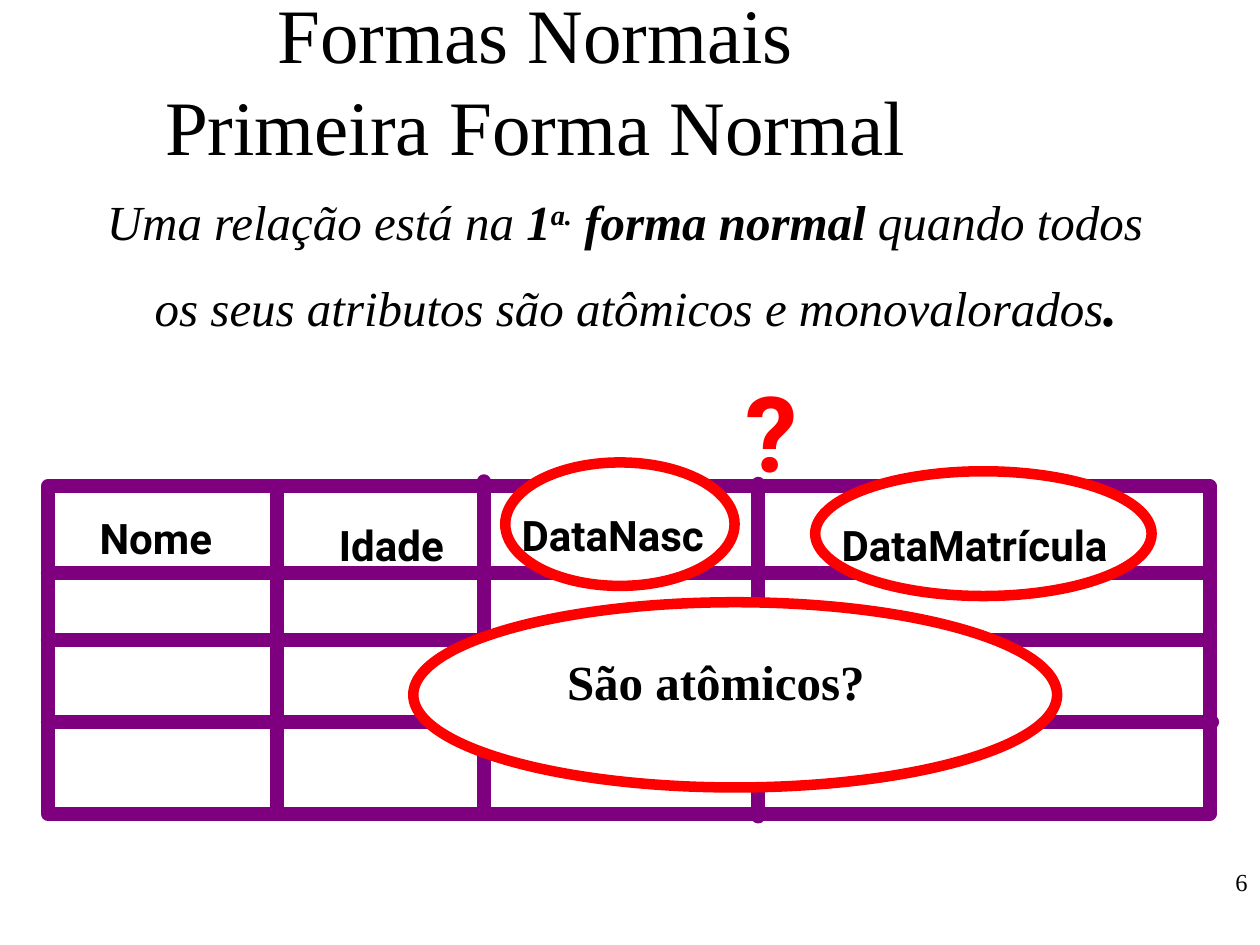
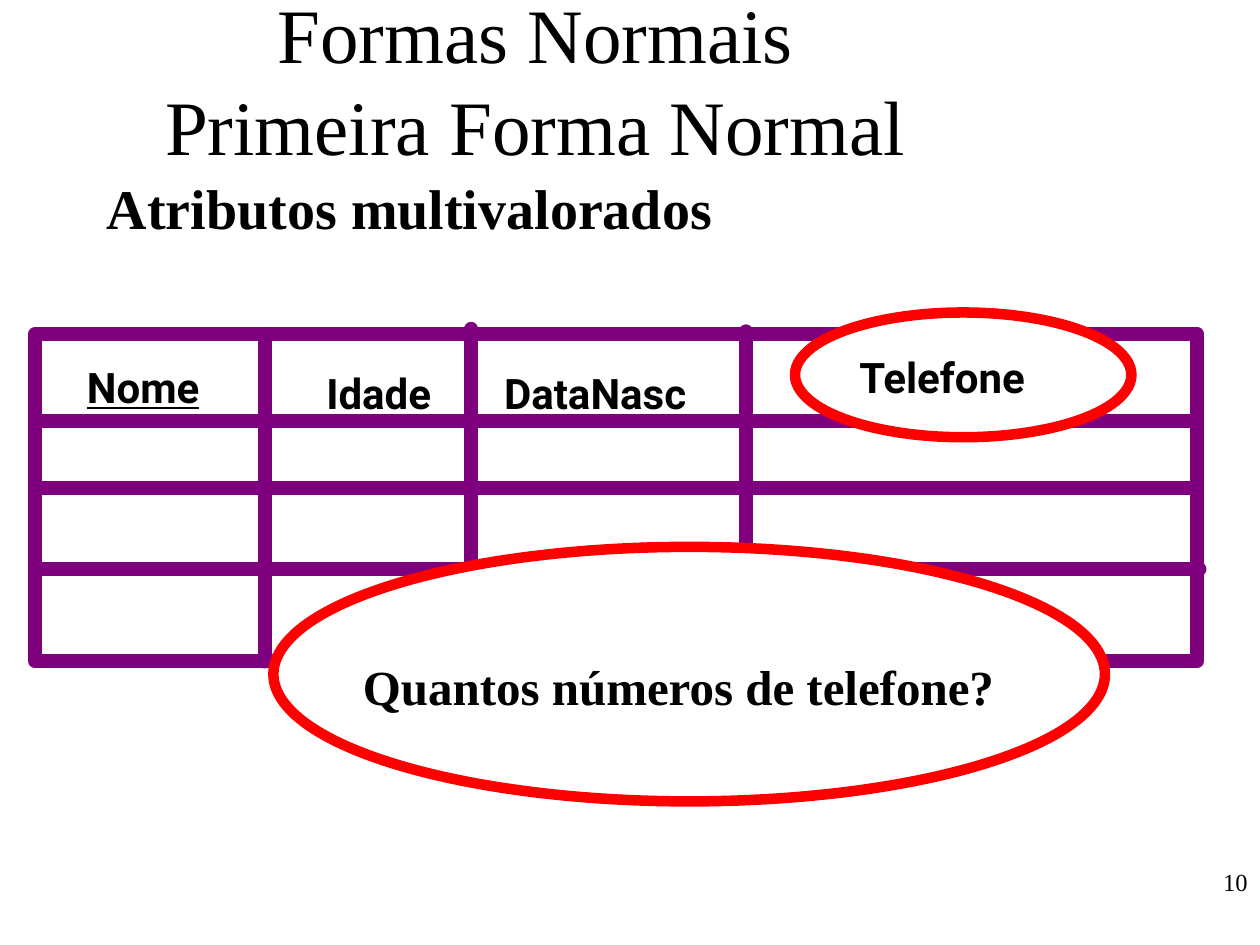
from lxml.etree import SubElement
from pptx import Presentation
from pptx.dml.color import RGBColor
from pptx.enum.shapes import MSO_CONNECTOR, MSO_SHAPE
from pptx.enum.text import MSO_ANCHOR, MSO_AUTO_SIZE, PP_ALIGN
from pptx.oxml.ns import qn
from pptx.util import Inches, Pt

COLORS = {"text": "000000", "paper": "FFFFFF", "grid": "7F007F", "mark": "FF0000"}
SERIF = {"name": "Times New Roman", "color": "text"}
TITLE = {**SERIF, "size": 44}
DEFINITION = {**SERIF, "size": 28, "italic": True}
SUBTITLE = {**SERIF, "size": 32, "bold": True}
QUESTION = {**SERIF, "size": 28, "bold": True}
NUMBER = {**SERIF, "size": 14}
LABEL = {"name": "Roboto", "size": 24, "bold": True, "color": "text"}
KEY_LABEL = {**LABEL, "underline": True}
QUESTION_MARK = {**LABEL, "size": 60, "color": "mark"}

TITLE_LINES = ("Formas Normais", "Primeira Forma Normal")
TABLE_WIDTH, TABLE_HEIGHT = 9.22, 2.6
# Offset from the table's edge, then how far the line sticks out at each end
COLUMN_LINES = ((1.82, 0, 0), (3.46, 0.04, 0), (5.64, 0.02, 0.02))
ROW_LINES = ((0.69, 0), (1.22, 0), (1.87, 0.02))


def rgb(color):
    return RGBColor.from_string(COLORS[color])


def add_run(paragraph, text, style):
    run = paragraph.add_run()
    run.text = text
    for attribute, value in style.items():
        if attribute == "color":
            run.font.color.rgb = rgb(value)
        elif attribute == "size":
            run.font.size = Pt(value)
        elif attribute == "baseline":
            run._r.get_or_add_rPr().set("baseline", str(value))
        else:
            setattr(run.font, attribute, value)


def add_text(slide, box, runs, inset=(0, 0), wrap=False):
    """Add a one-paragraph text box from (text, style) runs; return the paragraph."""
    frame = slide.shapes.add_textbox(*map(Inches, box)).text_frame
    frame.word_wrap = wrap
    frame.margin_left = frame.margin_right = Inches(inset[0])
    frame.margin_top = frame.margin_bottom = Inches(inset[1])
    paragraph = frame.paragraphs[0]
    for text, style in runs:
        add_run(paragraph, text, style)
    return paragraph


def style_line(shape, color, width):
    shape.line.color.rgb = rgb(color)
    shape.line.width = Pt(width)


def add_outlined_shape(slide, kind, box, color, width):
    shape = slide.shapes.add_shape(kind, *map(Inches, box))
    shape.shadow.inherit = False
    shape.fill.solid()
    shape.fill.fore_color.rgb = rgb("paper")
    style_line(shape, color, width)
    return shape


def round_line(shape):
    """Give the grid line round ends and joins."""
    line = shape.line._get_or_add_ln()
    line.set("cap", "rnd")
    SubElement(line, qn("a:round"))


def add_grid_line(slide, start, end):
    connector = slide.shapes.add_connector(
        MSO_CONNECTOR.STRAIGHT, *map(Inches, (*start, *end)))
    style_line(connector, "grid", 8)
    round_line(connector)
    SubElement(connector._element.spPr, qn("a:effectLst"))


def add_relation_grid(slide, left, top):
    right, bottom = left + TABLE_WIDTH, top + TABLE_HEIGHT
    frame = add_outlined_shape(slide, MSO_SHAPE.RECTANGLE,
                               (left, top, TABLE_WIDTH, TABLE_HEIGHT), "grid", 8)
    round_line(frame)
    for offset, above, below in COLUMN_LINES:
        add_grid_line(slide, (left + offset, top - above), (left + offset, bottom + below))
    for offset, beyond in ROW_LINES:
        add_grid_line(slide, (left, top + offset), (right + beyond, top + offset))


def add_ellipses(slide, boxes):
    for box in boxes:
        add_outlined_shape(slide, MSO_SHAPE.OVAL, box, "mark", 6)


def add_labels(slide, left, top, labels):
    """Place (text, x, y, width, style) labels relative to the table's corner."""
    for text, x, y, width, style in labels:
        add_text(slide, (left + x, top + y, width, 0.39), [(text, style)])


def add_title(slide):
    title = slide.shapes.title
    title.left, title.top, title.width, title.height = map(Inches, (0, 0, 8.5, 1.25))
    frame = title.text_frame
    frame.auto_size = MSO_AUTO_SIZE.NONE
    frame.vertical_anchor = MSO_ANCHOR.MIDDLE
    paragraph = frame.paragraphs[0]
    paragraph.alignment = PP_ALIGN.CENTER
    for index, line in enumerate(TITLE_LINES):
        if index:
            paragraph.add_line_break()
        add_run(paragraph, line, TITLE)


def add_statement(slide, height, runs, line_spacing=1.0):
    paragraph = add_text(slide, (0.75, 1.33, 8.5, height), runs, (0.1, 0.05), wrap=True)
    paragraph.line_spacing = line_spacing
    properties = paragraph._p.get_or_add_pPr()
    properties.set("marL", str(Inches(0.38)))
    properties.set("indent", str(Inches(-0.38)))


def add_base_slide(presentation, number):
    slide = presentation.slides.add_slide(presentation.slide_layouts[5])
    add_title(slide)
    paragraph = add_text(slide, (7.92, 6.83, 2.08, 0.5), [(number, NUMBER)],
                         (0.1, 0.05), wrap=True)
    paragraph.alignment = PP_ALIGN.RIGHT
    return slide


def add_atomic_slide(presentation):
    slide = add_base_slide(presentation, "6")
    strong = {**DEFINITION, "bold": True}
    add_statement(slide, 1.42, [
        ("Uma relação está na ", DEFINITION),
        ("1", strong),
        ("a.", {**strong, "baseline": 30000}),
        (" forma normal ", strong),
        ("quando todos os seus atributos são atômicos e monovalorados", DEFINITION),
        (".", {**DEFINITION, "size": 32, "bold": True}),
    ], line_spacing=1.3)
    left, top = 0.38, 3.86
    add_relation_grid(slide, left, top)
    add_ellipses(slide, [(3.28, 4.78, 5.11, 1.47), (6.47, 3.74, 2.67, 0.99),
                         (4.01, 3.67, 1.82, 0.98)])
    add_labels(slide, left, top, [
        ("Nome", 0.41, 0.21, 0.97, LABEL),
        ("Idade", 2.31, 0.26, 1.06, LABEL),
        ("DataNasc", 3.76, 0.18, 1.55, LABEL),
        ("DataMatrícula", 6.3, 0.26, 2.34, LABEL),
    ])
    add_text(slide, (5.92, 2.92, 0.56, 0.89), [("?", QUESTION_MARK)])
    add_text(slide, (4.5, 5.17, 2.92, 0.59), [("São atômicos?", QUESTION)])


def add_multivalued_slide(presentation):
    slide = add_base_slide(presentation, "10")
    add_statement(slide, 0.92, [("Atributos multivalorados", SUBTITLE)])
    left, top = 0.28, 2.65
    add_relation_grid(slide, left, top)
    add_ellipses(slide, [(6.31, 2.48, 2.67, 0.99), (2.17, 4.34, 6.6, 2.02)])
    add_labels(slide, left, top, [
        ("Nome", 0.41, 0.22, 0.97, KEY_LABEL),
        ("Idade", 2.31, 0.27, 1.06, LABEL),
        ("DataNasc", 3.72, 0.27, 1.55, LABEL),
        ("Telefone", 6.54, 0.14, 1.54, LABEL),
    ])
    add_text(slide, (2.88, 5.21, 5.4, 0.39), [("Quantos números de telefone?", QUESTION)])


def main():
    presentation = Presentation()
    presentation.slide_width, presentation.slide_height = Inches(10), Inches(7.5)
    add_atomic_slide(presentation)
    add_multivalued_slide(presentation)
    presentation.save("out.pptx")


if __name__ == "__main__":
    main()
